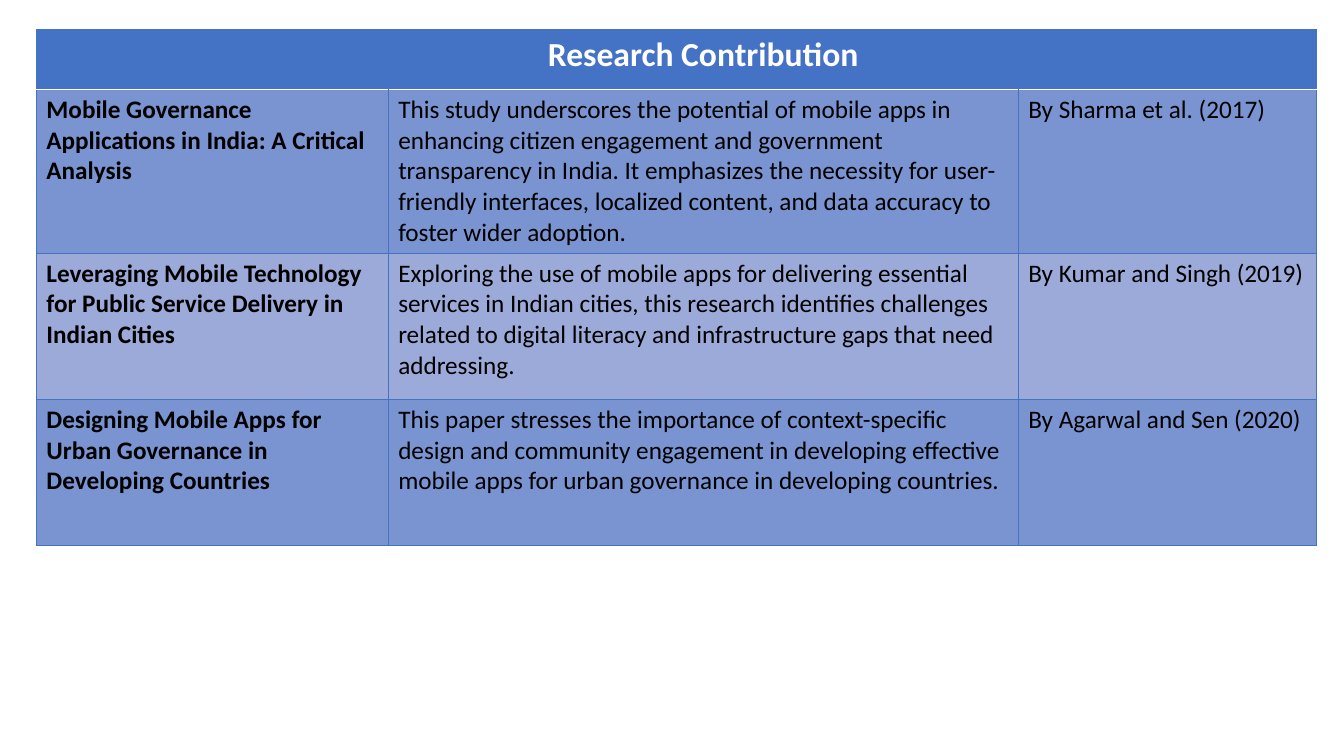
from lxml import etree
from pptx import Presentation
from pptx.dml.color import RGBColor
from pptx.enum.text import PP_ALIGN
from pptx.oxml.ns import qn
from pptx.util import Pt

CENTER, LEFT = PP_ALIGN.CENTER, PP_ALIGN.LEFT
COLORS = {"blue": "4472C4", "dark_band": "7994D1", "light_band": "9BAAD8",
          "white": "FFFFFF", "black": "000000"}
FONT = "Calibri"
COLUMN_WIDTHS = [251.3, 450, 213.1]
ROW_HEIGHTS = [42.5, 117, 104.4, 104.4]
TITLE_ROW = ["", "Research Contribution", ""]
STUDIES = [
    ["Mobile Governance Applications in India: A Critical Analysis",
     "This study underscores the potential of mobile apps in enhancing citizen "
     "engagement and government transparency in India. It emphasizes the necessity "
     "for user-friendly interfaces, localized content, and data accuracy to foster "
     "wider adoption.",
     "By Sharma et al. (2017)"],
    ["Leveraging Mobile Technology for Public Service Delivery in Indian Cities",
     "Exploring the use of mobile apps for delivering essential services in Indian "
     "cities, this research identifies challenges related to digital literacy and "
     "infrastructure gaps that need addressing.",
     "By Kumar and Singh (2019)"],
    ["Designing Mobile Apps for Urban Governance in Developing Countries",
     "This paper stresses the importance of context-specific design and community "
     "engagement in developing effective mobile apps for urban governance in "
     "developing countries.",
     "By Agarwal and Sen (2020)"],
]


class SlideBuilder:
    """Draws styled table elements on one slide."""

    def __init__(self, prs):
        self.s = prs.slides.add_slide(prs.slide_layouts[6])

    def table(self, left, top, widths, heights):
        frame = self.s.shapes.add_table(len(heights), len(widths), Pt(left), Pt(top),
                                        Pt(sum(widths)), Pt(sum(heights)))
        table = frame.table
        table.horz_banding = False
        for column, width in zip(table.columns, widths):
            column.width = Pt(width)
        for row, height in zip(table.rows, heights):
            row.height = Pt(height)
        return table

    def border(self, cell, side, color, width):
        tc_pr = cell._tc.get_or_add_tcPr()
        ln = etree.SubElement(tc_pr, qn(f"a:ln{side}"), w=str(Pt(width)))
        if color:
            fill = etree.SubElement(ln, qn("a:solidFill"))
            etree.SubElement(fill, qn("a:srgbClr"), val=COLORS[color])
        else:
            etree.SubElement(ln, qn("a:noFill"))

    def cell(self, cell, text, fill, borders, size=18, color="black", bold=False,
             align=LEFT):
        for side, (line, width) in borders.items():
            self.border(cell, side, line, width)
        cell.fill.solid()
        cell.fill.fore_color.rgb = RGBColor.from_string(COLORS[fill])
        cell.text_frame.text = text
        p = cell.text_frame.paragraphs[0]
        p.alignment = align
        for r in p.runs:
            r.font.name = FONT
            r.font.size = Pt(size)
            r.font.bold = bold
            r.font.color.rgb = RGBColor.from_string(COLORS[color])

    def title_row(self, table, texts):
        thin, none = ("blue", 0.5), (None, 0)
        last = len(texts) - 1
        for col, text in enumerate(texts):
            borders = {"L": none if col else thin, "R": thin if col == last else none,
                       "T": thin, "B": ("white", 1)}
            self.cell(table.cell(0, col), text, "blue", borders, size=24,
                      color="white", bold=True, align=CENTER)

    def study_rows(self, table, studies):
        thin = ("blue", 0.5)
        for row, study in enumerate(studies, 1):
            fill = "dark_band" if row % 2 else "light_band"
            borders = {"L": thin, "R": thin,
                       "T": ("white", 1) if row == 1 else thin, "B": thin}
            for col, text in enumerate(study):
                self.cell(table.cell(row, col), text, fill, borders, bold=col == 0)


def main():
    prs = Presentation()
    prs.slide_width, prs.slide_height = Pt(960), Pt(540)
    slide = SlideBuilder(prs)
    table = slide.table(26, 21.3, COLUMN_WIDTHS, ROW_HEIGHTS)
    slide.title_row(table, TITLE_ROW)
    slide.study_rows(table, STUDIES)
    prs.save("out.pptx")


if __name__ == "__main__":
    main()
